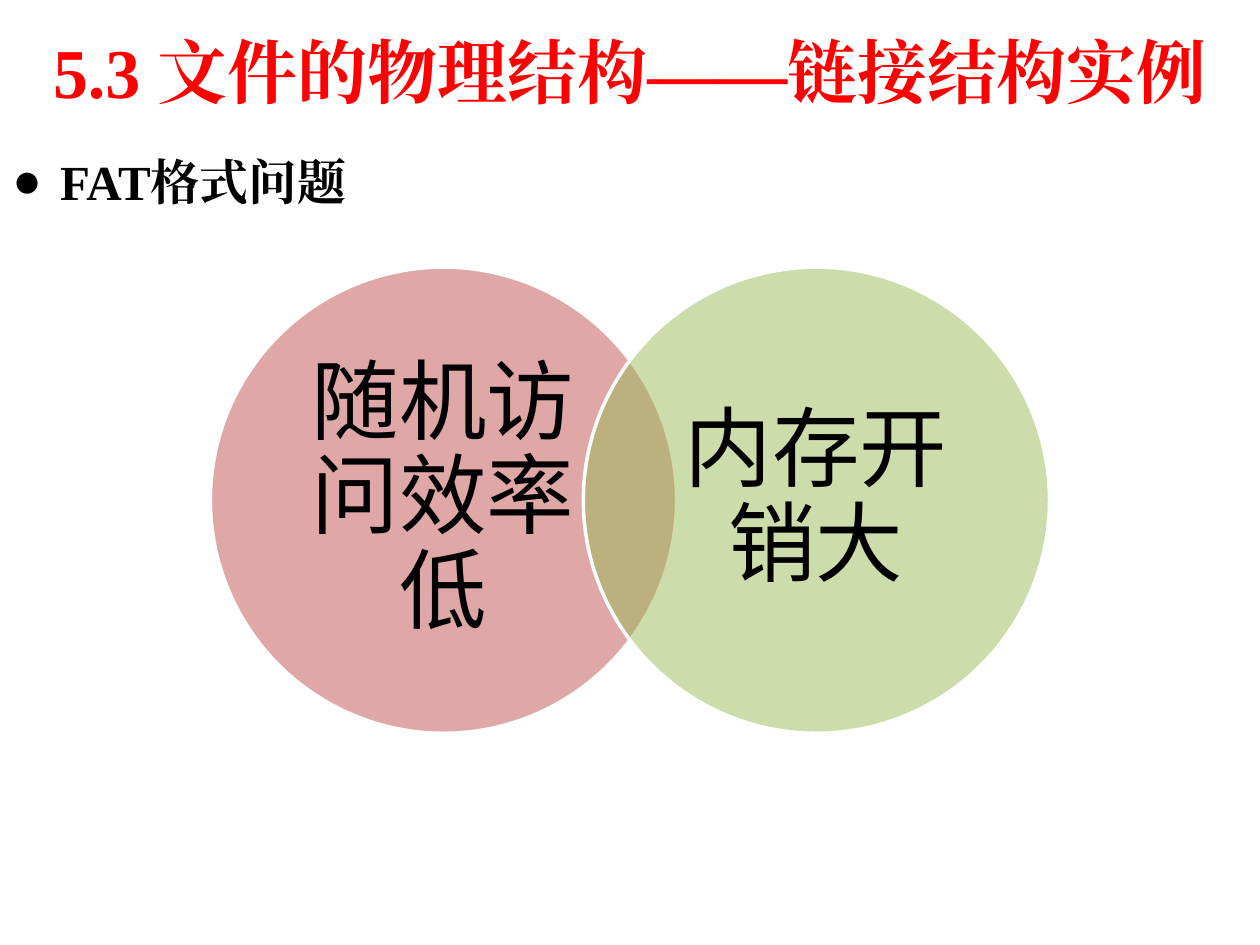
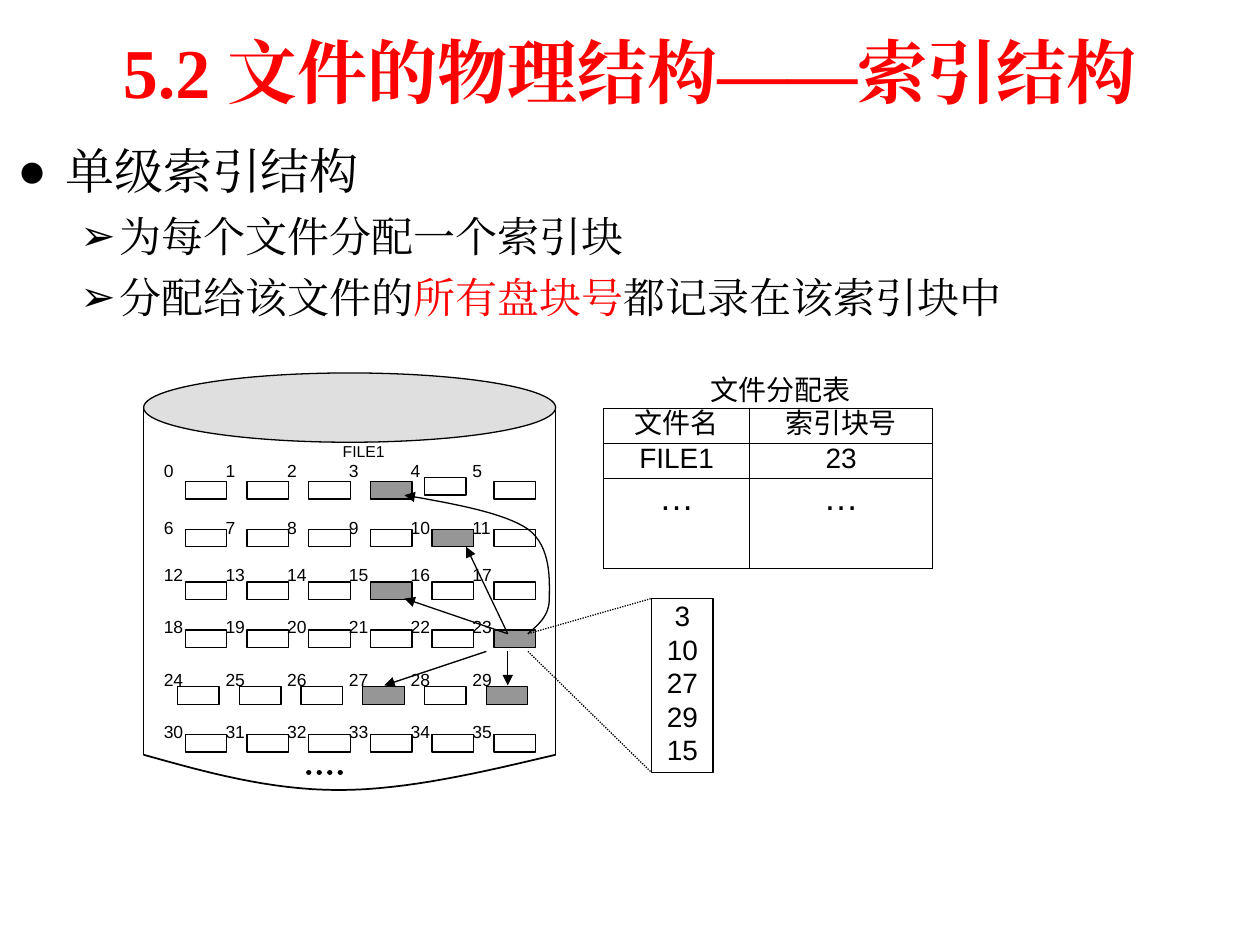
from dataclasses import dataclass

from lxml.etree import SubElement
from pptx import Presentation
from pptx.dml.color import RGBColor
from pptx.enum.dml import MSO_LINE
from pptx.enum.shapes import MSO_CONNECTOR, MSO_SHAPE
from pptx.enum.text import MSO_ANCHOR, PP_ALIGN
from pptx.oxml.ns import qn
from pptx.util import Inches, Pt


@dataclass(frozen=True)
class Theme:
    red: str = "FE0000"
    black: str = "000000"
    white: str = "FFFFFF"
    rose: str = "C0504D"
    olive: str = "9BBB59"
    silver: str = "C0C0C0"
    used_block: str = "969696"
    serif: str = "Times New Roman"
    sans: str = "Arial"
    chinese: str = "Noto Sans CJK SC"
    venn_font: str = "Calibri"
    title: int = 40
    heading: int = 28
    detail: int = 24
    venn: int = 50
    cell: int = 16
    dots: int = 20
    number: int = 10
    file_name: int = 9
    thin: float = 0.75


THEME = Theme()


@dataclass(frozen=True)
class Style:
    size: float
    font: str
    color: str = THEME.black
    bold: bool = False
    east_asian: str = ""


@dataclass(frozen=True)
class Bullet:
    spans: tuple[tuple[str, Style], ...]
    mark: str = "●"
    level: int = 0
    left: float = 0.38
    hanging: float = 0.38
    after: float = 0.05


@dataclass(frozen=True)
class BlockRow:
    label_top: float
    box_top: float
    box_left: float = 1.47


@dataclass(frozen=True)
class Link:
    start: tuple[float, float]
    end: tuple[float, float]
    arrow: bool = False
    dotted: bool = False
    width: float = THEME.thin


TITLE = Style(THEME.title, THEME.serif, THEME.red, True)
HEADING = Style(THEME.heading, THEME.serif, bold=True)
TOPIC = Style(THEME.heading, THEME.chinese, east_asian=THEME.serif)
DETAIL = Style(THEME.detail, THEME.chinese, east_asian=THEME.serif)
EMPHASIS = Style(THEME.detail, THEME.chinese, THEME.red, east_asian=THEME.serif)
VENN = Style(THEME.venn, THEME.venn_font)
CELL = Style(THEME.cell, THEME.sans)
DOTS = Style(THEME.dots, THEME.sans)
NUMBER = Style(THEME.number, THEME.sans)
FILE_NAME = Style(THEME.file_name, THEME.sans)

# Disk layout
COLUMNS = 6
PITCH = 0.49
LABEL_LEFT = 1.3
USED = {3, 10, 15, 23, 27, 29}
SHIFTED = {4: (3.37, 3.79)}
ROWS = (
    BlockRow(3.65, 3.82), BlockRow(4.1, 4.2), BlockRow(4.48, 4.62),
    BlockRow(4.89, 5.0), BlockRow(5.31, 5.45, 1.41), BlockRow(5.72, 5.83),
)
LINKS = (
    Link((1.14, 3.24), (1.14, 5.99)),
    Link((4.41, 3.24), (4.41, 5.99)),
    Link((2.45, 6.13), (2.77, 6.13), dotted=True, width=3),
    Link((3.86, 5.17), (3.05, 5.44), arrow=True),
    Link((4.03, 5.03), (3.21, 4.75), arrow=True),
    Link((4.03, 5.03), (3.7, 4.34), arrow=True),
    Link((4.03, 5.17), (4.03, 5.44), arrow=True),
    Link((4.19, 5.03), (5.17, 4.75), dotted=True),
    Link((4.19, 5.17), (5.17, 6.13), dotted=True),
)
DISK_BOTTOM = ((1.14, 5.99), (1.64, 6.13), (2.14, 6.27), (2.69, 6.27),
               (3.23, 6.27), (3.82, 6.13), (4.41, 5.99))
CURVED_ARROW = ((4.19, 5.03), (4.27, 4.96), (4.36, 4.89), (4.36, 4.75),
                (4.36, 4.62), (4.38, 4.34), (4.19, 4.2),
                (4.0, 4.07), (3.61, 4.0), (3.21, 3.93))


# Text
def format_runs(para, style: Style) -> None:
    for span in para.runs:
        span.font.size = Pt(style.size)
        span.font.name = style.font
        span.font.bold = style.bold
        span.font.color.rgb = RGBColor.from_string(style.color)
        properties = span.font._element
        properties.set("lang", "zh-CN")
        SubElement(properties, qn("a:ea"), typeface=style.east_asian or style.font)


def write(frame, text: str, style: Style, align=PP_ALIGN.CENTER,
          anchor=MSO_ANCHOR.TOP, inset=(0.0, 0.0)) -> None:
    frame.word_wrap = True
    frame.vertical_anchor = anchor
    frame.margin_left = frame.margin_right = Inches(inset[0])
    frame.margin_top = frame.margin_bottom = Inches(inset[1])
    frame.text = text
    for para in frame.paragraphs:
        para.alignment = align
        format_runs(para, style)


def add_text(page, area, text: str, style: Style, **layout):
    box = page.shapes.add_textbox(*map(Inches, area))
    write(box.text_frame, text, style, **layout)
    return box


def add_title(page, text: str) -> None:
    add_text(page, (0, 0.05, 10, 1.02), text, TITLE,
             anchor=MSO_ANCHOR.MIDDLE, inset=(0.1, 0.05))


def add_bullets(page, left: float, top: float, bullets: list[Bullet]) -> None:
    box = page.shapes.add_textbox(*map(Inches, (left, top, 9.96, 5.67)))
    frame = box.text_frame
    frame.word_wrap = True
    for index, bullet in enumerate(bullets):
        para = frame.add_paragraph() if index else frame.paragraphs[0]
        para.level = bullet.level
        size = bullet.spans[0][1].size
        para.space_before = Pt(size * 0.2)
        para.space_after = Pt(size * bullet.after)
        properties = para._p.get_or_add_pPr()
        properties.set("marL", str(Inches(bullet.left)))
        properties.set("indent", str(-Inches(bullet.hanging)))
        SubElement(properties, qn("a:buFont"), typeface=THEME.sans)
        SubElement(properties, qn("a:buChar"), char=bullet.mark)
        for text, style in bullet.spans:
            span = para.add_run()
            span.text = text
            # Each span takes its own style
            span.font.size = Pt(style.size)
            span.font.name = style.font
            span.font.bold = style.bold
            span.font.color.rgb = RGBColor.from_string(style.color)
            SubElement(span.font._element, qn("a:ea"),
                       typeface=style.east_asian or style.font)


# Shapes and lines
def add_arrowhead(line) -> None:
    SubElement(line._get_or_add_ln(), qn("a:tailEnd"), type="triangle")


def outline(shape, color: str = THEME.black, width: float = THEME.thin) -> None:
    shape.line.color.rgb = RGBColor.from_string(color)
    shape.line.width = Pt(width)


def add_figure(page, kind, area, fill: str = "", opacity: int = 100,
               line: str = THEME.black, width: float = THEME.thin):
    figure = page.shapes.add_shape(kind, *map(Inches, area))
    figure.shadow.inherit = False
    if fill:
        figure.fill.solid()
        figure.fill.fore_color.rgb = RGBColor.from_string(fill)
        if opacity < 100:
            color = figure._element.spPr.find(f"{qn('a:solidFill')}/{qn('a:srgbClr')}")
            SubElement(color, qn("a:alpha"), val=str(opacity * 1000))
    else:
        figure.fill.background()
    outline(figure, line, width)
    return figure


def add_link(page, link: Link) -> None:
    connector = page.shapes.add_connector(
        MSO_CONNECTOR.STRAIGHT, *map(Inches, link.start + link.end))
    outline(connector, width=link.width)
    if link.dotted:
        connector.line.dash_style = MSO_LINE.ROUND_DOT
        connector.line._get_or_add_ln().set("cap", "rnd" if link.width > 1 else "flat")
    if link.arrow:
        add_arrowhead(connector.line)
    SubElement(connector._element.spPr, qn("a:effectLst"))


def add_curve(page, controls, width: float = THEME.thin, arrow: bool = False) -> None:
    """Draw joined cubic curves as one fine open outline."""
    steps = 16
    points = []
    for first in range(0, len(controls) - 1, 3):
        a, b, c, d = controls[first:first + 4]
        for step in range(1, steps + 1):
            t = step / steps
            u = 1 - t
            points.append(tuple(
                Inches(u**3 * a[i] + 3 * u * u * t * b[i] + 3 * u * t * t * c[i] + t**3 * d[i])
                for i in (0, 1)))
    builder = page.shapes.build_freeform(*map(Inches, controls[0]))
    builder.add_line_segments(points, close=False)
    curve = builder.convert_to_shape()
    curve.shadow.inherit = False
    curve.fill.background()
    outline(curve, width=width)
    if arrow:
        add_arrowhead(curve.line)


def add_allocation_table(page) -> None:
    rows = (("文件名", "索引块号"), ("FILE1", "23"), ("…", "…"))
    widths, heights = (1.16, 1.45), (0.28, 0.28, 0.71)
    table = page.shapes.add_table(
        len(rows), len(widths),
        *map(Inches, (4.79, 3.24, sum(widths), sum(heights)))).table
    table.first_row = table.horz_banding = False
    for column, width in zip(table.columns, widths):
        column.width = Inches(width)
    for row, height, texts in zip(table.rows, heights, rows):
        row.height = Inches(height)
        for cell, text in zip(row.cells, texts):
            properties = cell._tc.get_or_add_tcPr()
            for side in ("a:lnL", "a:lnR", "a:lnT", "a:lnB"):
                border = SubElement(properties, qn(side), w=str(Pt(THEME.thin)))
                SubElement(SubElement(border, qn("a:solidFill")),
                           qn("a:srgbClr"), val=THEME.black)
            cell.fill.background()
            cell.margin_left = cell.margin_right = 0
            cell.margin_top = cell.margin_bottom = 0
            cell.text_frame.text = text
            para = cell.text_frame.paragraphs[0]
            para.alignment = PP_ALIGN.CENTER
            format_runs(para, DOTS if text == "…" else CELL)


# Slides
def build_fat_problems(page) -> None:
    add_title(page, "5.3 文件的物理结构——链接结构实例")
    add_bullets(page, 0, 1.15, [Bullet((("FAT格式问题", HEADING),), after=0.1)])
    circles = ((1.67, THEME.rose, "随机访问效率低"), (4.63, THEME.olive, "内存开销大"))
    for left, color, text in circles:
        add_figure(page, MSO_SHAPE.OVAL, (left, 2.12, 3.7, 3.7), color, 50, THEME.white, 2)
        box = add_text(page, (left + 0.54, 2.66, 2.61, 2.61), text, VENN,
                       anchor=MSO_ANCHOR.MIDDLE, inset=(0.2, 0.07))
        box.text_frame.paragraphs[0].line_spacing = 0.9


def build_index_structure(page) -> None:
    add_title(page, "5.2 文件的物理结构——索引结构")
    details = (
        (("为每个文件分配一个索引块", DETAIL),),
        (("分配给该文件的", DETAIL), ("所有盘块号", EMPHASIS), ("都记录在该索引块中", DETAIL)),
    )
    add_bullets(page, 0.04, 1.07, [Bullet((("单级索引结构", TOPIC),))]
                + [Bullet(spans, "➢", 1, 0.81, 0.31) for spans in details])

    # Disk with its numbered blocks
    add_curve(page, DISK_BOTTOM, width=1)
    add_figure(page, MSO_SHAPE.OVAL, (1.14, 2.96, 3.27, 0.55), THEME.silver, 50)
    add_text(page, (2.72, 3.51, 0.65, 0.27), "FILE1", FILE_NAME, align=PP_ALIGN.JUSTIFY)
    for number in range(len(ROWS) * COLUMNS):
        row, column = ROWS[number // COLUMNS], number % COLUMNS
        offset = column * PITCH
        left, top = SHIFTED.get(number, (row.box_left + offset, row.box_top))
        add_figure(page, MSO_SHAPE.RECTANGLE, (left, top, 0.33, 0.14),
                   THEME.used_block if number in USED else "")
        add_text(page, (LABEL_LEFT + offset, row.label_top, 0.33, 0.27),
                 str(number), NUMBER, align=PP_ALIGN.JUSTIFY)

    # Allocation table and index block
    add_text(page, (4.79, 2.96, 2.81, 0.28), "文件分配表", CELL)
    add_allocation_table(page)
    index_block = add_figure(page, MSO_SHAPE.RECTANGLE, (5.17, 4.75, 0.49, 1.38))
    write(index_block.text_frame, "3\n10\n27\n29\n15", CELL)
    for link in LINKS:
        add_link(page, link)
    add_curve(page, CURVED_ARROW, arrow=True)


def main() -> None:
    deck = Presentation()
    deck.slide_width, deck.slide_height = Inches(10), Inches(7.5)
    for build in (build_fat_problems, build_index_structure):
        build(deck.slides.add_slide(deck.slide_layouts[6]))
    deck.save("out.pptx")


if __name__ == "__main__":
    main()
